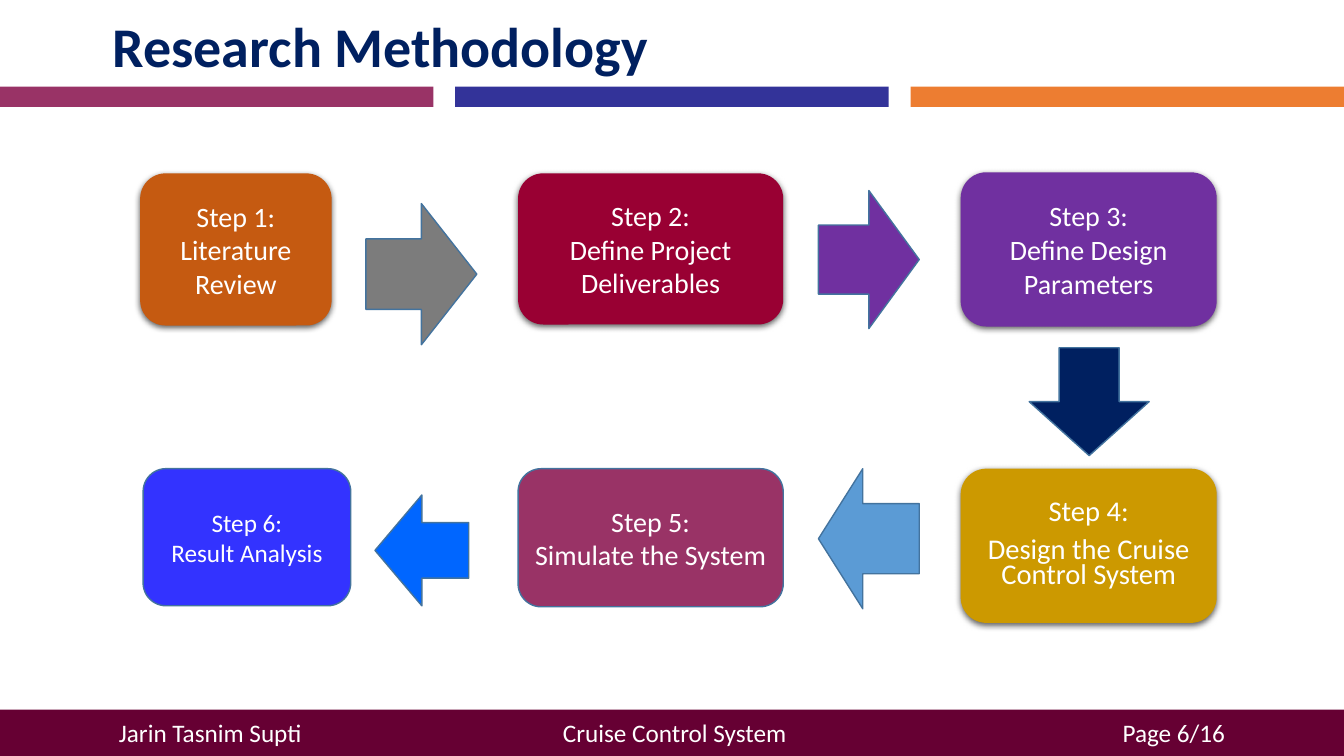
import pptx
import pptx.dml.color
import pptx.enum.shapes
import pptx.enum.text
import pptx.util
from dataclasses import dataclass
from lxml import etree

SHAPE = pptx.enum.shapes.MSO_SHAPE
ALIGN = pptx.enum.text.PP_ALIGN
ANCHOR = pptx.enum.text.MSO_ANCHOR
DRAWING = "http://schemas.openxmlformats.org/drawingml/2006/main"


@dataclass(frozen=True)
class Theme:
    font: str = "Calibri"
    title_size: float = 40
    step_size: float = 20
    design_size: float = 20.4
    small_size: float = 18
    white: str = "FFFFFF"
    black: str = "000000"
    navy: str = "002060"
    plum: str = "993366"
    indigo: str = "333399"
    orange: str = "ED7D31"
    wine: str = "660033"
    rust: str = "C55A11"
    crimson: str = "990033"
    purple: str = "7030A0"
    gold: str = "CC9900"
    blue: str = "3333FF"
    azure: str = "0066FF"
    sky: str = "5B9BD5"
    grey: str = "7C7C7C"
    outline: str = "43739E"


def rgb(value):
    return pptx.dml.color.RGBColor.from_string(value)


def add_xml(parent, tag, **attributes):
    return etree.SubElement(parent, f"{{{DRAWING}}}{tag}", attributes)


def write(frame, text, *, font, size, color, bold=False, align=ALIGN.CENTER,
          anchor=ANCHOR.MIDDLE, line_spacing=None, space_before=None):
    """Fill a text frame, one paragraph for each line of text."""
    frame.word_wrap = True
    frame.vertical_anchor = anchor
    for index, line in enumerate(text.split("\n")):
        paragraph = frame.paragraphs[0] if index == 0 else frame.add_paragraph()
        paragraph.alignment = align
        if line_spacing:
            paragraph.line_spacing = line_spacing
        if space_before:
            paragraph.space_before = pptx.util.Pt(space_before)
        run = paragraph.add_run()
        run.text = line
        run.font.name = font
        run.font.size = pptx.util.Pt(size)
        run.font.bold = bold
        run.font.color.rgb = rgb(color)


class Deck:
    """Places elements by percent of the slide's width and height."""

    def __init__(self, theme):
        self.theme = theme
        self.presentation = pptx.Presentation()
        self.presentation.slide_width = pptx.util.Inches(13.333)
        self.presentation.slide_height = pptx.util.Inches(7.5)
        self.slide = self.presentation.slides.add_slide(
            self.presentation.slide_layouts[6])

    def across(self, share):
        return round(self.presentation.slide_width * share / 100)

    def down(self, share):
        return round(self.presentation.slide_height * share / 100)

    def place(self, left, top, width, height):
        return (self.across(left), self.down(top),
                self.across(width), self.down(height))

    def block(self, kind, area, fill, outlined=False):
        shape = self.slide.shapes.add_shape(kind, *self.place(*area))
        shape.shadow.inherit = False
        shape.fill.solid()
        shape.fill.fore_color.rgb = rgb(fill)
        if outlined:
            shape.line.color.rgb = rgb(self.theme.outline)
            shape.line.width = pptx.util.Pt(1)
        else:
            shape.line.fill.background()
        return shape

    def title(self, text, area):
        box = self.slide.shapes.add_textbox(*self.place(*area))
        write(box.text_frame, text, font=self.theme.font,
              size=self.theme.title_size, color=self.theme.navy, bold=True,
              align=ALIGN.LEFT, anchor=ANCHOR.TOP)

    def stripes(self, colors, top, height, width):
        pitch = (100 - width) / (len(colors) - 1)
        for index, color in enumerate(colors):
            self.block(SHAPE.RECTANGLE, (index * pitch, top, width, height), color)

    def step(self, text, area, fill, raised=True, **text_format):
        """Add a rounded step: raised ones cast a shadow, others have an outline."""
        card = self.block(SHAPE.ROUNDED_RECTANGLE, area, fill, outlined=not raised)
        if raised:
            self.drop_shadow(card)
        style = {"size": self.theme.step_size, **text_format}
        write(card.text_frame, text, font=self.theme.font,
              color=self.theme.white, **style)

    def drop_shadow(self, shape):
        effects = shape._element.spPr.find(f"{{{DRAWING}}}effectLst")
        shadow = add_xml(effects, "outerShdw", blurRad="57150", dist="19050",
                         dir="5400000", algn="ctr", rotWithShape="0")
        color = add_xml(shadow, "srgbClr", val=self.theme.black)
        add_xml(color, "alpha", val="63000")

    def arrow(self, kind, area, fill, head=0.5):
        arrow = self.block(kind, area, fill, outlined=True)
        arrow.adjustments[1] = head

    def footer(self, author, topic, page, top, margin):
        """Add a bar with text at the left margin, the centre and the right margin."""
        bar = self.block(SHAPE.RECTANGLE, (0, top, 100, 100 - top), self.theme.wine)
        frame = bar.text_frame
        frame.margin_left = self.across(margin)
        frame.margin_right = self.across(margin - 1)
        write(frame, f"{author}\t{topic}\t{page}", font=self.theme.font,
              size=self.theme.small_size, color=self.theme.white, align=ALIGN.LEFT)
        stops = add_xml(frame.paragraphs[0]._p.get_or_add_pPr(), "tabLst")
        for share, side in ((50.2 - margin, "ctr"), (100 - 2 * margin, "r")):
            add_xml(stops, "tab", pos=str(self.across(share)), algn=side)


def main():
    theme = Theme()
    deck = Deck(theme)
    deck.stripes((theme.plum, theme.indigo, theme.orange),
                 top=11.47, height=2.67, width=32.25)
    deck.footer("Jarin Tasnim Supti", "Cruise Control System", "Page 6/16",
                top=93.87, margin=8.85)
    deck.title("Research Methodology", (7.65, 0.93, 90.53, 10.27))

    middle, right, lower = 38.55, 71.48, 62
    deck.step("Step 1:\nLiterature Review", (10.43, 22.93, 14.25, 20.13), theme.rust)
    deck.step("Step 2:\nDefine Project Deliverables",
              (middle, 22.93, 19.73, 20), theme.crimson)
    deck.step("Step 3:\nDefine Design\nParameters",
              (right, 22.8, 19.05, 20.4), theme.purple)
    deck.step("Step 4:\nDesign the Cruise Control System",
              (right, lower, 19.05, 20.4), theme.gold,
              size=theme.design_size, line_spacing=0.7, space_before=10)
    deck.step("Step 5:\nSimulate the System",
              (middle, lower, 19.73, 18.27), theme.plum, raised=False)
    deck.step("Step 6:\nResult Analysis", (10.65, lower, 15.45, 18.13),
              theme.blue, raised=False, size=theme.small_size)

    deck.arrow(SHAPE.RIGHT_ARROW, (27.23, 26.93, 8.25, 18.67), theme.grey)
    deck.arrow(SHAPE.RIGHT_ARROW, (60.9, 25.2, 7.5, 18.27), theme.purple)
    deck.arrow(SHAPE.DOWN_ARROW, (76.58, 46, 8.93, 14.27), theme.navy)
    deck.arrow(SHAPE.LEFT_ARROW, (60.9, lower, 7.5, 18.53), theme.sky, head=0.44)
    deck.arrow(SHAPE.LEFT_ARROW, (27.9, 65.47, 6.98, 14.67), theme.azure)
    deck.presentation.save("out.pptx")


if __name__ == "__main__":
    main()
